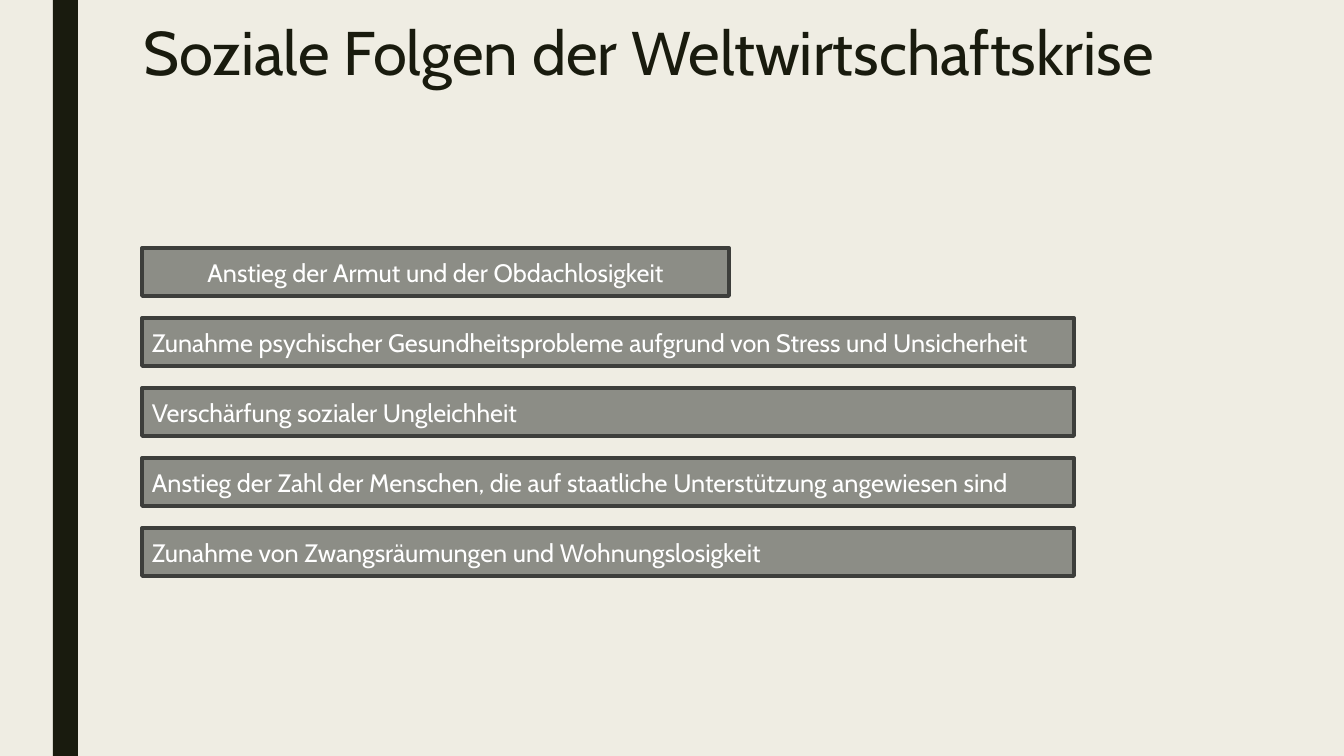
"""Build the slide on the social effects of the world economic crisis."""
from pptx import Presentation
from pptx.dml.color import RGBColor
from pptx.enum import shapes, text
from pptx.util import Emu, Pt

TITLE = "Soziale Folgen der Weltwirtschaftskrise"
EFFECTS = [
    ("Anstieg der Armut und der Obdachlosigkeit", 587, "CENTER"),
    ("Zunahme psychischer Gesundheitsprobleme aufgrund von Stress und Unsicherheit", 932, "LEFT"),
    ("Verschärfung sozialer Ungleichheit", 932, "LEFT"),
    ("Anstieg der Zahl der Menschen, die auf staatliche Unterstützung angewiesen sind", 932, "LEFT"),
    ("Zunahme von Zwangsräumungen und Wohnungslosigkeit", 932, "LEFT"),
]
WIDE, HIGH = 1344, 756
LEFT, TOP, TALL, STEP = 142, 248, 48, 70
DARK, GREY, EDGE, WHITE, PAPER = "191B0E", "8C8D86", "3D3E3B", "FFFFFF", "EFEDE3"


def px(n):
    return Emu(round(n * 914400 / 100.8))


def paint(fill, color):
    fill.solid()
    fill.fore_color.rgb = RGBColor.from_string(color)


def write(shape, words, size, color, align, anchor, spacing=1.0):
    frame = shape.text_frame
    frame.word_wrap = True
    frame.auto_size = text.MSO_AUTO_SIZE.NONE
    frame.vertical_anchor = anchor
    para = frame.paragraphs[0]
    para.text = words
    para.alignment = align
    para.line_spacing = spacing
    for key, value in {"name": "Cabin", "size": Pt(size), "bold": False}.items():
        setattr(para.font, key, value)
    para.font.color.rgb = RGBColor.from_string(color)


def block(slide, x, y, w, h, color):
    shape = slide.shapes.add_shape(shapes.MSO_SHAPE.RECTANGLE, px(x), px(y), px(w), px(h))
    shape.shadow.inherit = False
    paint(shape.fill, color)
    return shape


def main():
    deck = Presentation()
    deck.slide_width, deck.slide_height = px(WIDE), px(HIGH)
    slide = deck.slides.add_slide(deck.slide_layouts.get_by_name("Title Only"))
    paint(slide.background.fill, PAPER)

    block(slide, 53, 0, 25, HIGH, DARK).line.fill.background()

    title = slide.shapes.title
    for key, value in {"left": 133, "top": 18, "width": 1058, "height": 64}.items():
        setattr(title, key, px(value))
    write(title, TITLE, 44, DARK, text.PP_ALIGN.LEFT, text.MSO_ANCHOR.TOP, 0.89)

    for row, (words, width, align) in enumerate(EFFECTS):
        bar = block(slide, LEFT, TOP + row * STEP, width, TALL, GREY)
        paint(bar.line.fill, EDGE)
        bar.line.width = Pt(2.75)
        write(bar, words, 18, WHITE, text.PP_ALIGN[align], text.MSO_ANCHOR.MIDDLE)

    deck.save("out.pptx")


if __name__ == "__main__":
    main()
